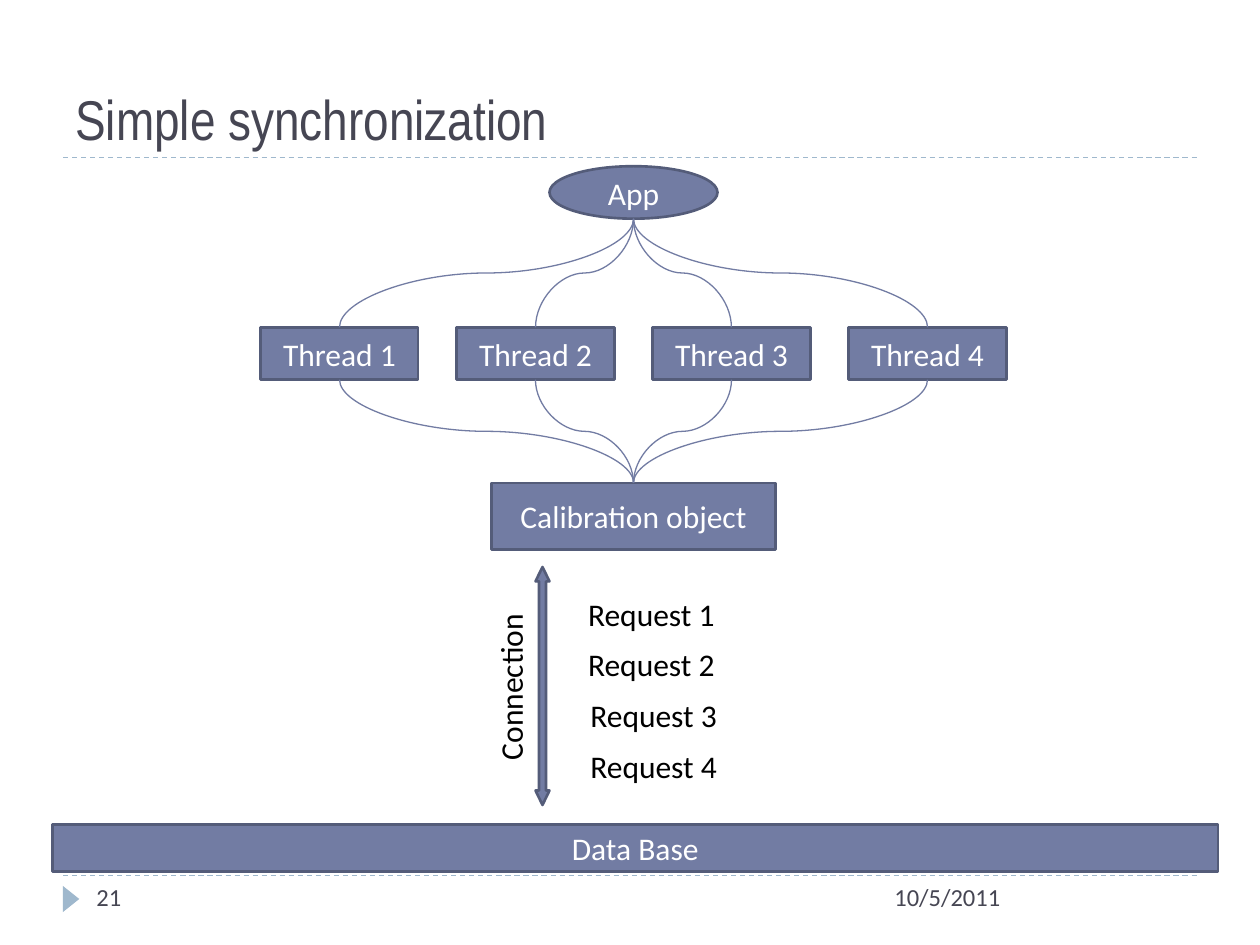
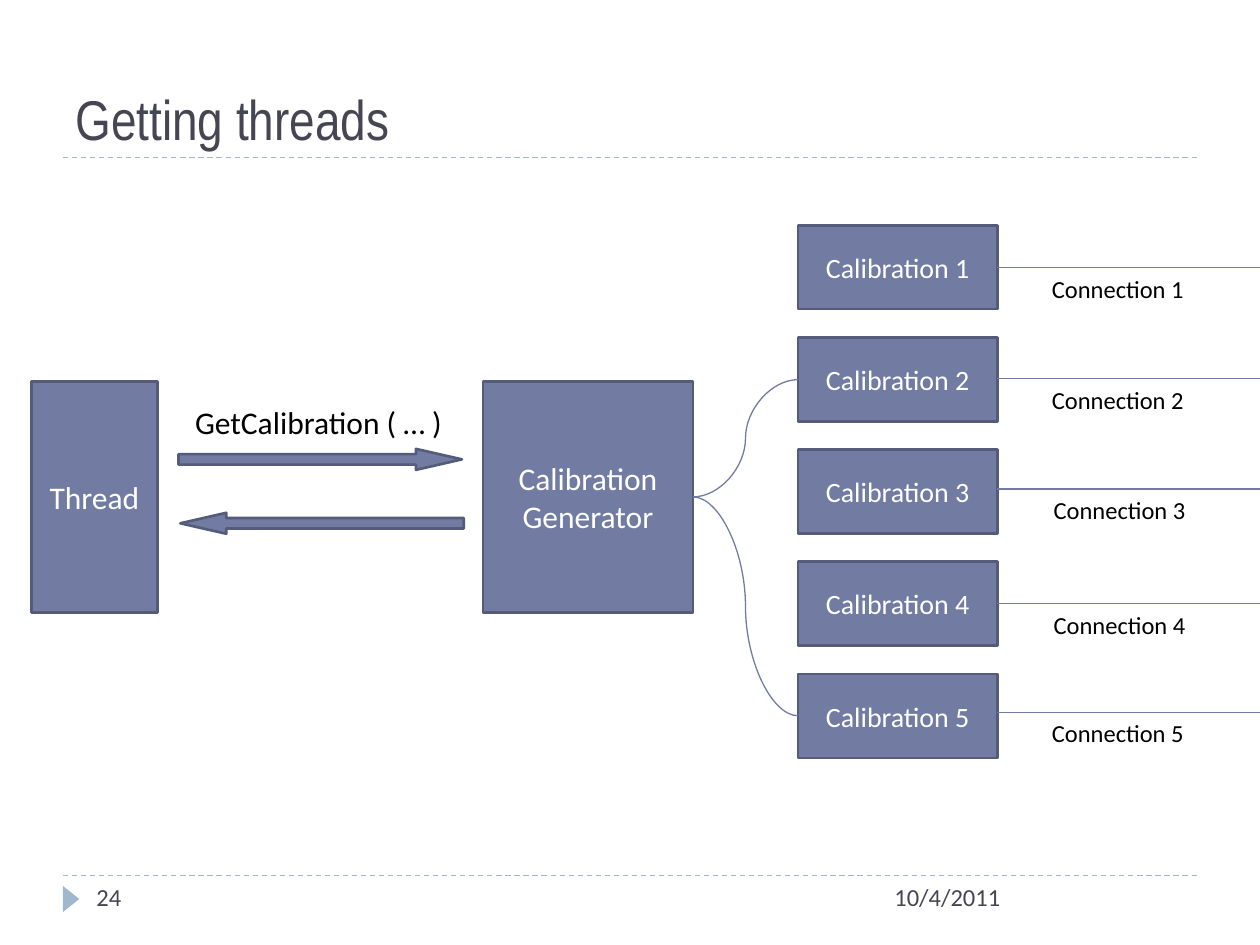
from pptx import Presentation
from pptx.util import Pt
from pptx.dml.color import RGBColor
from pptx.enum.dml import MSO_LINE_DASH_STYLE as DASH
from pptx.enum.shapes import MSO_CONNECTOR as CON, MSO_SHAPE as SHP
from pptx.enum.text import MSO_ANCHOR as ANC, MSO_AUTO_SIZE as FIT, PP_ALIGN as AL
from lxml import etree

COLORS = {"fill": "727CA3", "edge": "545C79", "pale": "9FB8CD",
          "dark": "464653", "white": "FFFFFF", "black": "000000"}
RGB = {name: RGBColor.from_string(value) for name, value in COLORS.items()}


def add_box(s, kind, at, text="", size=18, color="white", font="Calibri",
            fill="fill", edge="edge", anchor=ANC.MIDDLE, align=AL.CENTER,
            wrap=True, rot=0, adj=()):
    """Add a preset shape, or a text box when kind is None."""
    at = [Pt(v) for v in at]
    if kind is None:
        sp = s.shapes.add_textbox(*at)
        anchor, align = (ANC.TOP if anchor == ANC.MIDDLE else anchor), AL.LEFT
    else:
        sp = s.shapes.add_shape(kind, *at)
        sp.shadow.inherit = False
        sp.fill.solid()
        sp.fill.fore_color.rgb = RGB[fill]
        if edge:
            sp.line.color.rgb = RGB[edge]
            sp.line.width = Pt(1.5)
        else:
            sp.line.fill.background()
    sp.rotation = rot
    for i, value in enumerate(adj):
        sp.adjustments[i] = value
    if text:
        tf = sp.text_frame
        frame = {"word_wrap": wrap, "vertical_anchor": anchor,
                 "auto_size": FIT.NONE if wrap else FIT.SHAPE_TO_FIT_TEXT}
        for name, value in frame.items():
            setattr(tf, name, value)
        p = tf.paragraphs[0]
        p.text = text
        p.alignment = align
        for r in p.runs:
            for name, value in {"name": font, "size": Pt(size)}.items():
                setattr(r.font, name, value)
            r.font.color.rgb = RGB[color]
    return sp


def add_line(s, x1, y1, x2, y2, kind=CON.STRAIGHT, color="fill", dash=None,
             upright=False):
    """Add a connector; an upright curve leaves and arrives vertically."""
    rot = 0
    if upright:
        cx, cy = (x1 + x2) / 2, (y1 + y2) / 2
        side = 1 if x2 > x1 else -1
        half_w, half_h = side * (y2 - y1) / 2, abs(x2 - x1) / 2
        x1, y1, x2, y2 = cx + half_w, cy - half_h, cx - half_w, cy + half_h
        rot = 270 if side > 0 else 90
    c = s.shapes.add_connector(kind, Pt(x1), Pt(y1), Pt(x2), Pt(y2))
    c.line.color.rgb = RGB[color]
    c.line.width = Pt(0.75)
    if dash:
        c.line.dash_style = dash
    props = c._element.spPr
    if rot:
        props.xfrm.set("rot", str(rot * 60000))
    etree.SubElement(props, props.tag.split("}")[0].replace(
        "presentationml", "drawingml").replace("2006/main", "2006/main")
        + "}effectLst")


prs = Presentation()
prs.slide_width, prs.slide_height = Pt(720), Pt(540)

# Shared frame: rules, marker, title and footer
slides = []
for title, date, number in [("Simple synchronization", "10/5/2011", "21"),
                            ("Getting threads", "10/4/2011", "24")]:
    s = prs.slides.add_slide(prs.slide_layouts[6])
    for y in (500.4, 90):
        add_line(s, 36, y, 684, y, color="pale", dash=DASH.DASH)
    add_box(s, SHP.ISOSCELES_TRIANGLE, (33.1, 509, 15, 9.4), fill="pale",
            edge=None, rot=90)
    add_box(s, None, (36, 12, 648, 78), title, 32, "dark", "Arial Narrow",
            anchor=ANC.BOTTOM)
    add_box(s, None, (504, 500.4, 180, 28.8), date, 14, "dark")
    add_box(s, None, (48, 500.4, 156, 28.8), number, 14, "dark")
    slides.append(s)
sync, getting = slides

# Simple synchronization: app, threads, shared object and data base
hub_x = 362
thread_w, thread_top, thread_h = 90, 187, 30
app_bottom, object_top = 125, 276
add_box(sync, SHP.OVAL, (314, 95, 96, 30), "App")
add_box(sync, SHP.RECTANGLE, (281, object_top, 162, 38), "Calibration object")
add_box(sync, SHP.RECTANGLE, (30, 471, 666, 27), "Data Base")
for i in range(4):
    left = 149 + 112 * i
    thread_x = left + thread_w / 2
    add_box(sync, SHP.RECTANGLE, (left, thread_top, thread_w, thread_h),
            f"Thread {i + 1}")
    add_line(sync, hub_x, app_bottom, thread_x, thread_top, CON.CURVE,
             upright=True)
    add_line(sync, thread_x, thread_top + thread_h, hub_x, object_top,
             CON.CURVE, upright=True)

# Requests over one connection
for i, left in enumerate((329, 329, 330.3, 330.3)):
    add_box(sync, None, (left, 336.3 + 29 * i, 88, 29), f"Request {i + 1}",
            color="black", wrap=False)
add_box(sync, SHP.LEFT_RIGHT_ARROW, (242, 388, 136, 8), rot=90,
        adj=(0.5, 1.03))
add_box(sync, None, (242.3, 377.5, 99, 29), "Connection", color="black",
        wrap=False, rot=270)

# Getting threads: a thread asks the generator
add_box(getting, SHP.RECTANGLE, (18, 218, 72, 132), "Thread")
add_box(getting, SHP.RECTANGLE, (276, 218, 120, 132), "Calibration\vGenerator")
add_box(getting, None, (104.4, 226.5, 158, 29), "GetCalibration ( … )",
        color="black")
for left, top, rot in [(102, 256.5, 0), (103, 293, 180)]:
    add_box(getting, SHP.RIGHT_ARROW, (left, top, 162, 12), rot=rot,
            adj=(0.5, 2.19))

# Calibrations, each with its own connection
box_left, box_w, box_h = 456, 114, 48
connections = [(594, 153), (594, 216.5), (595, 279.5), (595, 345), (594, 407)]
for i, (label_left, y) in enumerate(connections):
    add_box(getting, SHP.RECTANGLE,
            (box_left, 128.7 + 64.1 * i, box_w, box_h),
            f"Calibration {i + 1}", 16)
    add_line(getting, box_left + box_w, y, 720, y)
    add_box(getting, None, (label_left, y, 91, 24.5), f"Connection {i + 1}",
            14, "black", wrap=False)
for y in (217, 409):
    add_line(getting, 396, 284, box_left, y, CON.CURVE)

prs.save("out.pptx")
